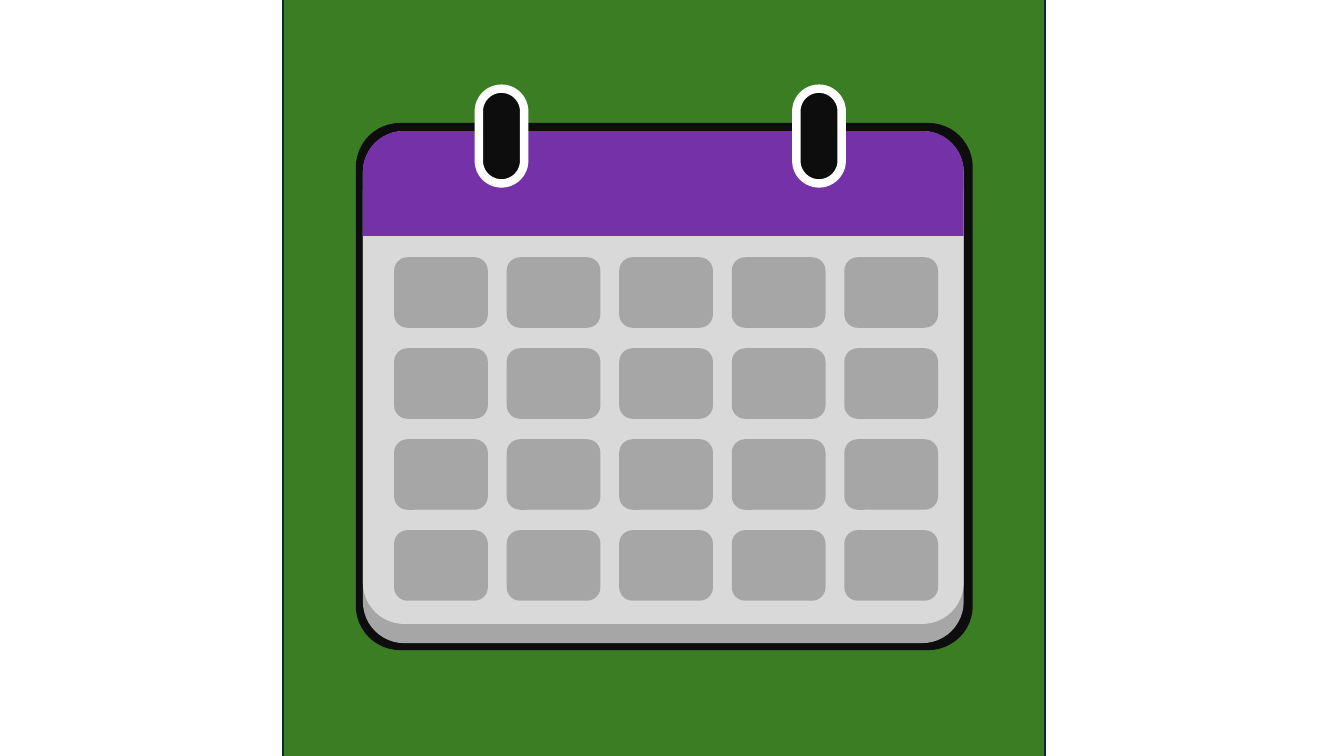
from dataclasses import dataclass

from pptx import Presentation
from pptx.dml.color import RGBColor
from pptx.enum.shapes import MSO_SHAPE
from pptx.util import Inches, Pt


@dataclass(frozen=True)
class Theme:
    """Colours and line widths of the calendar."""
    backdrop: str = "3B7D23"
    backdrop_edge: str = "092A39"
    ink: str = "0D0D0D"
    shade: str = "A6A6A6"
    paper: str = "D9D9D9"
    header: str = "7532A8"
    ring_edge: str = "FFFFFF"
    thin: float = 1.5
    thick: float = 6
    page_corner: float = 0.084
    header_corner: float = 0.388
    day_corner: float = 0.189


class CalendarSlide:
    """Draws shapes on a slide grid of 40 columns by 30 rows."""

    def __init__(self, deck, theme):
        """Add a blank slide and measure its grid."""
        self.theme = theme
        self.slide = deck.slides.add_slide(deck.slide_layouts[6])
        self.column = deck.slide_width / 40
        self.row = deck.slide_height / 30

    def panel(self, preset, box, fill, corners=(), edge=None, edge_width=0):
        """Place a filled preset shape at (left, top, width, height)."""
        units = (self.column, self.row) * 2
        lengths = [round(size * unit) for size, unit in zip(box, units)]
        panel = self.slide.shapes.add_shape(preset, *lengths)
        panel.shadow.inherit = False
        panel.fill.solid()
        panel.fill.fore_color.rgb = RGBColor.from_string(fill)
        for index, corner in enumerate(corners):
            panel.adjustments[index] = corner
        if edge:
            panel.line.color.rgb = RGBColor.from_string(edge)
            panel.line.width = Pt(edge_width)
        else:
            panel.line.fill.background()

    def rounded(self, box, fill, corner, **edge):
        """Place a rounded rectangle."""
        self.panel(MSO_SHAPE.ROUNDED_RECTANGLE, box, fill, (corner,), **edge)

    def backdrop(self):
        """Place the square behind the calendar."""
        self.panel(MSO_SHAPE.RECTANGLE, (8.43, -0.12, 22.68, 30.24), self.theme.backdrop,
                   edge=self.theme.backdrop_edge, edge_width=self.theme.thin)

    def page(self):
        """Place the frame, the page with its lower edge, and the header."""
        theme = self.theme
        left, top, width, height = 10.8, 5.2, 17.88, 19.56
        self.rounded((10.59, 4.88, 18.36, 20.92), theme.ink, theme.page_corner)
        self.rounded((left, top + 0.76, width, height), theme.shade, theme.page_corner)
        self.rounded((left, top, width, height), theme.paper, theme.page_corner)
        self.panel(MSO_SHAPE.ROUND_2_SAME_RECTANGLE, (left, top, width, 4.16),
                   theme.header, (theme.header_corner, 0))

    def ring(self, left):
        """Place one binding ring."""
        self.rounded((left, 3.52, 1.35, 3.76), self.theme.ink, 0.5,
                     edge=self.theme.ring_edge, edge_width=self.theme.thick)

    def days(self, weeks, weekdays):
        """Place the grid of day tiles."""
        for week in range(weeks):
            for weekday in range(weekdays):
                box = (11.73 + 3.35 * weekday, 10.21 + 3.61 * week, 2.79, 2.8)
                self.rounded(box, self.theme.shade, self.theme.day_corner)


def main():
    """Build and save the calendar slide."""
    deck = Presentation()
    deck.slide_width, deck.slide_height = Inches(13.33), Inches(7.5)
    calendar = CalendarSlide(deck, Theme())
    calendar.backdrop()
    calendar.page()
    for ring_left in (14.25, 23.7):
        calendar.ring(ring_left)
    calendar.days(weeks=4, weekdays=5)
    deck.save("out.pptx")


if __name__ == "__main__":
    main()
